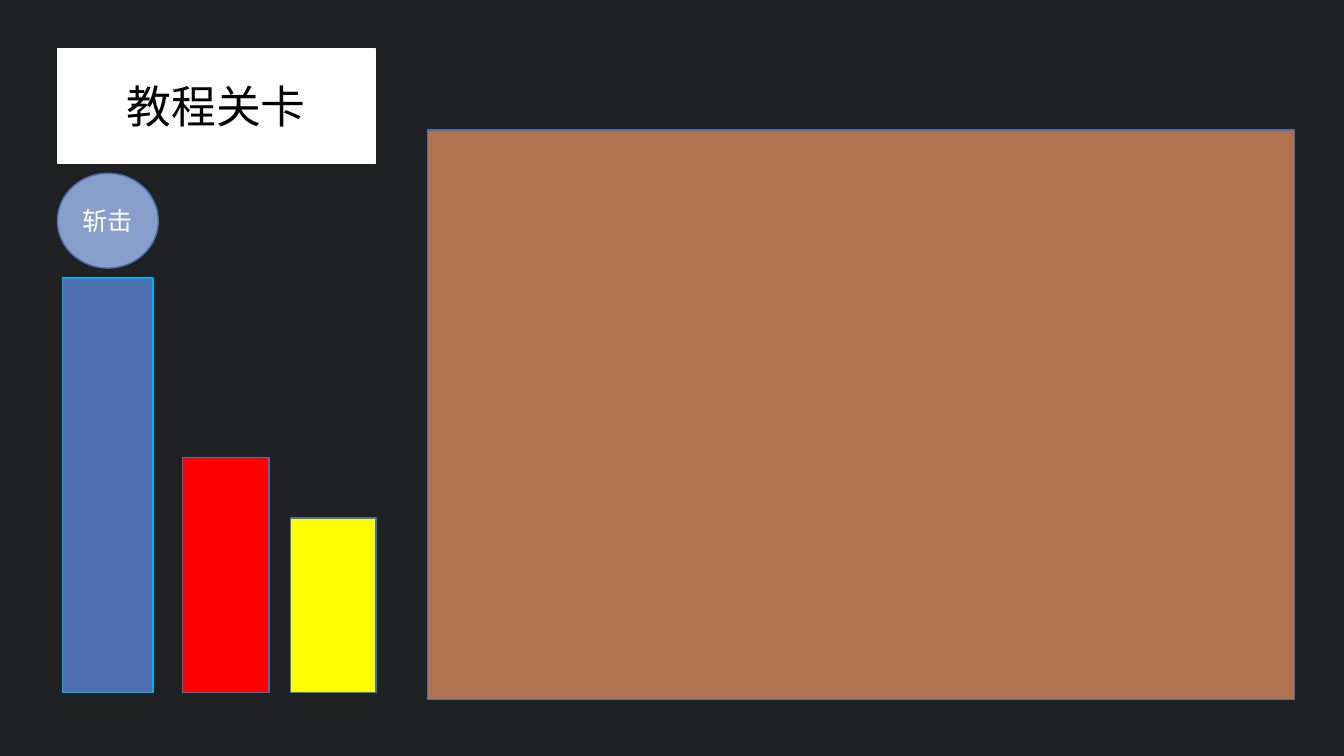
from lxml.etree import SubElement
from pptx import Presentation
from pptx.dml.color import RGBColor
from pptx.enum.shapes import MSO_SHAPE
from pptx.enum.text import MSO_ANCHOR, MSO_AUTO_SIZE, PP_ALIGN
from pptx.oxml.ns import qn
from pptx.util import Inches, Pt

BACKGROUND = "1F2123"
WHITE = "FFFFFF"
BLACK = "000000"
BLUE = "4D6EB1"
PALE_BLUE = "889ECB"
CYAN = "00B0F0"
RED = "FF0000"
YELLOW = "FFFF00"
BROWN = "B17250"


def color(hex_code):
    return RGBColor.from_string(hex_code)


class LevelSlide:
    """Holds the slide being built and its shared style."""

    font_name = "Arial"
    outline_width = Pt(1)

    def __init__(self, slide):
        self.slide = slide
        background = slide.background.fill
        background.solid()
        background.fore_color.rgb = color(BACKGROUND)

    def paint(self, shape, fill, outline):
        shape.fill.solid()
        shape.fill.fore_color.rgb = color(fill)
        shape.line.color.rgb = color(outline)
        shape.line.width = self.outline_width

    def add_label(self, shape, text, size, text_color):
        frame = shape.text_frame
        frame.word_wrap = True
        frame.auto_size = MSO_AUTO_SIZE.NONE
        frame.vertical_anchor = MSO_ANCHOR.MIDDLE
        frame.margin_left = frame.margin_right = 0
        paragraph = frame.paragraphs[0]
        paragraph.alignment = PP_ALIGN.CENTER
        run = paragraph.add_run()
        run.text = text
        run.font.name = self.font_name
        run.font.size = Pt(size)
        run.font.color.rgb = color(text_color)

    def title(self, text, left, top, width, height):
        """Turn the title placeholder into a rounded white card."""
        card = self.slide.shapes.title
        card.left, card.top = Inches(left), Inches(top)
        card.width, card.height = Inches(width), Inches(height)
        outline = SubElement(card.element.spPr, qn("a:prstGeom"), prst="roundRect")
        SubElement(outline, qn("a:avLst"))
        self.paint(card, WHITE, WHITE)
        self.add_label(card, text, 32, BLACK)

    def block(self, left, top, width, height, fill, outline=BLUE,
              kind=MSO_SHAPE.RECTANGLE):
        block = self.slide.shapes.add_shape(
            kind, Inches(left), Inches(top), Inches(width), Inches(height))
        block.shadow.inherit = False
        self.paint(block, fill, outline)
        return block

    def skill_button(self, text, left, top, width, height):
        button = self.block(left, top, width, height, PALE_BLUE,
                            kind=MSO_SHAPE.OVAL)
        self.add_label(button, text, 18, WHITE)


def main():
    presentation = Presentation()
    presentation.slide_width = Inches(13.33)
    presentation.slide_height = Inches(7.5)
    title_only = presentation.slide_layouts[5]
    level = LevelSlide(presentation.slides.add_slide(title_only))

    level.title("教程关卡", 0.57, 0.48, 3.15, 1.14)
    level.block(4.24, 1.29, 8.6, 5.65, BROWN)

    bars_bottom = 6.87
    bars = [
        (0.62, 0.9, 4.11, BLUE, CYAN),
        (1.81, 0.86, 2.33, RED, BLUE),
        (2.88, 0.85, 1.73, YELLOW, BLUE),
    ]
    for left, width, height, fill, outline in bars:
        level.block(left, bars_bottom - height, width, height, fill, outline)

    level.skill_button("斩击", 0.57, 1.72, 1, 0.94)
    presentation.save("out.pptx")


if __name__ == "__main__":
    main()
